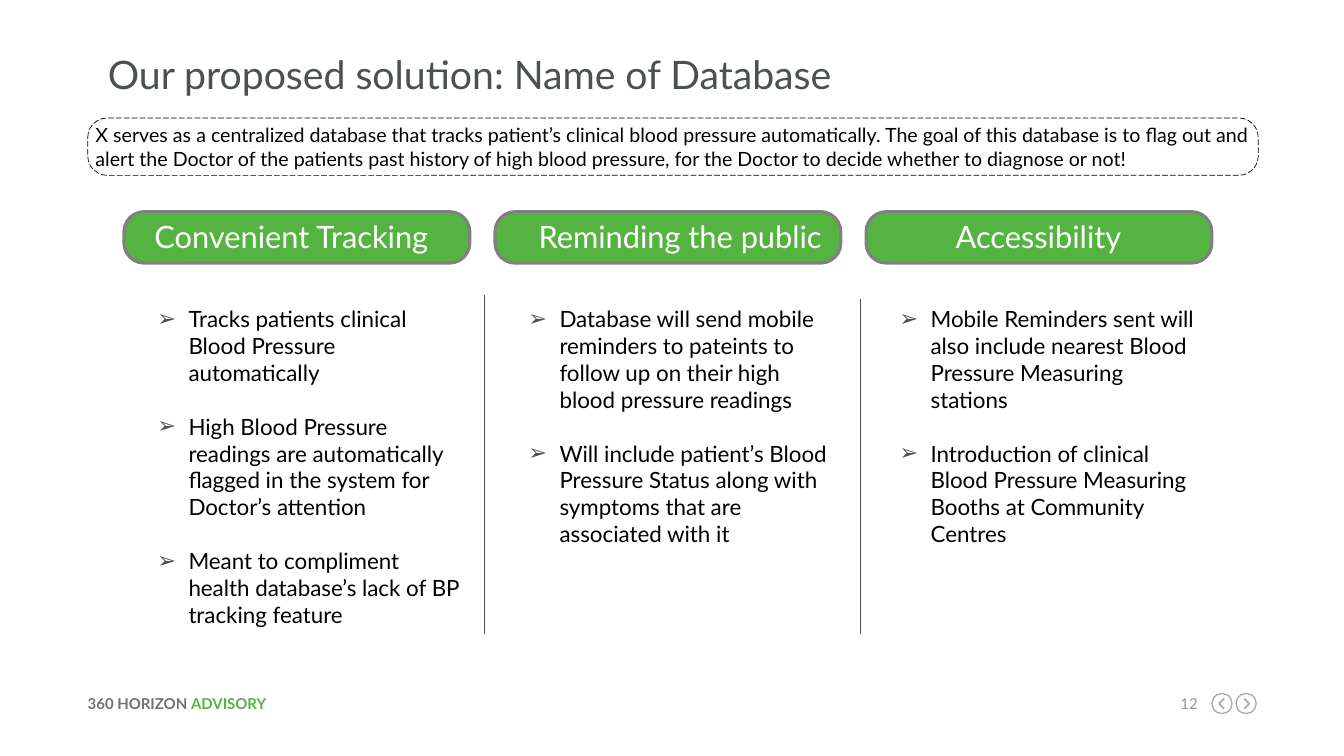
from lxml import etree
from pptx import Presentation
from pptx.dml.color import RGBColor
from pptx.enum.dml import MSO_LINE
from pptx.enum.shapes import MSO_CONNECTOR, MSO_SHAPE
from pptx.enum.text import MSO_ANCHOR, MSO_AUTO_SIZE, PP_ALIGN
from pptx.oxml.ns import qn
from pptx.util import Pt

LEFT, CENTER, RIGHT = PP_ALIGN.LEFT, PP_ALIGN.CENTER, PP_ALIGN.RIGHT
TOP, MIDDLE, BOTTOM = MSO_ANCHOR.TOP, MSO_ANCHOR.MIDDLE, MSO_ANCHOR.BOTTOM
ROUNDED, OVAL = MSO_SHAPE.ROUNDED_RECTANGLE, MSO_SHAPE.OVAL
STRAIGHT, DASH = MSO_CONNECTOR.STRAIGHT, MSO_LINE.LONG_DASH
NO_AUTOFIT = MSO_AUTO_SIZE.NONE

GREEN = RGBColor(0x55, 0xB4, 0x41)
WHITE = RGBColor(0xFF, 0xFF, 0xFF)
BLACK = RGBColor(0x00, 0x00, 0x00)
CHARCOAL = RGBColor(0x4B, 0x50, 0x50)
DIVIDER_GRAY = RGBColor(0x49, 0x4E, 0x4E)
BORDER_GRAY = RGBColor(0x80, 0x80, 0x80)
FOOTER_GRAY = RGBColor(0x6E, 0x73, 0x78)
NUMBER_GRAY = RGBColor(0x91, 0x96, 0x9B)
ARROW_GRAY = RGBColor(0xAA, 0xAF, 0xB4)

FONT = "Lato"
EMU_PER_PX = 9144
COLUMN_LEFT, COLUMN_PITCH, COLUMN_WIDTH = 123, 368, 343

COLUMNS = [
    ("Convenient Tracking", 137, 304, [
        "Tracks patients clinical Blood Pressure automatically",
        "High Blood Pressure readings are automatically flagged in the system for Doctor’s attention",
        "Meant to compliment health database’s lack of BP tracking feature",
    ]),
    ("Reminding the public", 515, 319, [
        "Database will send mobile reminders to pateints to follow up on their high blood pressure readings",
        "Will include patient’s Blood Pressure Status along with symptoms that are associated with it",
    ]),
    ("Accessibility", 878, 304, [
        "Mobile Reminders sent will also include nearest Blood Pressure Measuring stations",
        "Introduction of clinical Blood Pressure Measuring Booths at Community Centres",
    ]),
]
SUMMARY = (
    "X serves as a centralized database that tracks patient’s clinical blood pressure "
    "automatically. The goal of this database is to flag out and alert the Doctor of the "
    "patients past history of high blood pressure, for the Doctor to decide whether to "
    "diagnose or not!"
)


def px(*lengths):
    return [length * EMU_PER_PX for length in lengths]


class SlideBuilder:
    def __init__(self, slide):
        self.slide = slide
        self.shapes = slide.shapes

    def style_font(self, font, size, color, bold=False):
        font.name, font.size, font.bold = FONT, Pt(size), bold
        font.color.rgb = color

    def set_frame(self, frame, insets, anchor):
        frame.word_wrap = True
        frame.auto_size = NO_AUTOFIT
        frame.vertical_anchor = anchor
        (frame.margin_left, frame.margin_top,
         frame.margin_right, frame.margin_bottom) = px(*insets)

    def set_paragraph(self, paragraph, text, size, color, align=LEFT, gap=0):
        paragraph.text = text
        paragraph.alignment = align
        paragraph.line_spacing = 1.0
        paragraph.space_before, paragraph.space_after = Pt(0), Pt(gap)
        self.style_font(paragraph.font, size, color)

    def set_indent(self, paragraph, margin, hanging, bullet=None):
        properties = paragraph._p.get_or_add_pPr()
        margin_emu, indent_emu = px(margin, -hanging)
        properties.set("marL", str(margin_emu))
        properties.set("indent", str(indent_emu))
        if bullet:
            color = etree.SubElement(properties, qn("a:buClr"))
            etree.SubElement(color, qn("a:srgbClr"), val=str(CHARCOAL))
            etree.SubElement(properties, qn("a:buChar"), char=bullet)

    def place(self, placeholder, box):
        (placeholder.left, placeholder.top,
         placeholder.width, placeholder.height) = px(*box)

    def title(self, text, box):
        title = self.shapes.title
        self.place(title, box)
        self.set_frame(title.text_frame, (0, 0, 0, 0), BOTTOM)
        paragraph = title.text_frame.paragraphs[0]
        self.set_indent(paragraph, 25, 0)
        self.set_paragraph(paragraph, text, 28, CHARCOAL)

    def bullets(self, placeholder, items, box):
        self.place(placeholder, box)
        frame = placeholder.text_frame
        self.set_frame(frame, (8, 5, 8, 5), TOP)
        for number, item in enumerate(items):
            paragraph = frame.add_paragraph() if number else frame.paragraphs[0]
            self.set_indent(paragraph, 56, 31, "➢")
            self.set_paragraph(paragraph, item, 16, BLACK, gap=19.2)

    def label(self, text, box, size, color, align=LEFT, insets=(0, 0, 0, 0)):
        frame = self.shapes.add_textbox(*px(*box)).text_frame
        self.set_frame(frame, insets, TOP)
        self.set_paragraph(frame.paragraphs[0], text, size, color, align)

    def brand(self, parts, box):
        frame = self.shapes.add_textbox(*px(*box)).text_frame
        self.set_frame(frame, (0, 0, 0, 0), TOP)
        for text, color in parts:
            run = frame.paragraphs[0].add_run()
            run.text = text
            self.style_font(run.font, 10.7, color, bold=True)

    def panel(self, kind, box, line, width, fill=None, rounding=None):
        panel = self.shapes.add_shape(kind, *px(*box))
        panel.shadow.inherit = False
        if fill is None:
            panel.fill.background()
        else:
            panel.fill.solid()
            panel.fill.fore_color.rgb = fill
        panel.line.color.rgb, panel.line.width = line, Pt(width)
        if rounding is not None:
            panel.adjustments[0] = rounding
        return panel

    def callout(self, text, box):
        callout = self.panel(ROUNDED, box, BLACK, 0.5, WHITE, 0.34)
        callout.line.dash_style = DASH
        self.set_frame(callout.text_frame, (2, 0, 0, 0), MIDDLE)
        self.set_paragraph(callout.text_frame.paragraphs[0], text, 14, BLACK)

    def divider(self, x, top, bottom):
        divider = self.shapes.add_connector(STRAIGHT, *px(x, top, x, bottom))
        divider.line.color.rgb, divider.line.width = DIVIDER_GRAY, Pt(0.75)
        etree.SubElement(divider._element.spPr, qn("a:effectLst"))

    def arrow_button(self, left, top, direction):
        self.panel(OVAL, (left, top, 20, 20), ARROW_GRAY, 1)
        middle_x, middle_y = left + 10, top + 10
        back, tip = middle_x - 2 * direction, middle_x + 3 * direction
        outline = self.shapes.build_freeform(back, middle_y - 5, EMU_PER_PX)
        outline.add_line_segments([(tip, middle_y), (back, middle_y + 5)], close=False)
        chevron = outline.convert_to_shape()
        chevron.shadow.inherit = False
        chevron.fill.background()
        chevron.line.color.rgb, chevron.line.width = ARROW_GRAY, Pt(1.25)


def main():
    presentation = Presentation()
    presentation.slide_width, presentation.slide_height = px(1333, 750)
    slide = presentation.slides.add_slide(presentation.slide_layouts[4])
    builder = SlideBuilder(slide)

    builder.title("Our proposed solution: Name of Database", (82, 29, 1160, 68))
    builder.callout(SUMMARY, (87, 117, 1161, 57))

    *list_bodies, spare_body = list(slide.placeholders)[1:]
    spare_body._element.getparent().remove(spare_body._element)
    for number, (heading, heading_left, heading_width, items) in enumerate(COLUMNS):
        left = COLUMN_LEFT + number * COLUMN_PITCH
        builder.panel(ROUNDED, (left, 210, COLUMN_WIDTH, 51), BORDER_GRAY, 2.25, GREEN, 0.39)
        builder.label(heading, (heading_left, 211, heading_width, 47), 22, WHITE,
                      CENTER, (10, 5, 10, 5))
        builder.bullets(list_bodies[number], items, (left, 298, COLUMN_WIDTH, 331))

    builder.divider(481, 293, 629)
    builder.divider(853, 297, 629)

    builder.brand([("360 HORIZON ", FOOTER_GRAY), ("ADVISORY", GREEN)], (87, 689, 260, 18))
    builder.label("12", (1158, 689, 30, 18), 10.7, NUMBER_GRAY, RIGHT)
    builder.arrow_button(1202, 688, -1)
    builder.arrow_button(1226, 688, 1)
    presentation.save("out.pptx")


if __name__ == "__main__":
    main()
